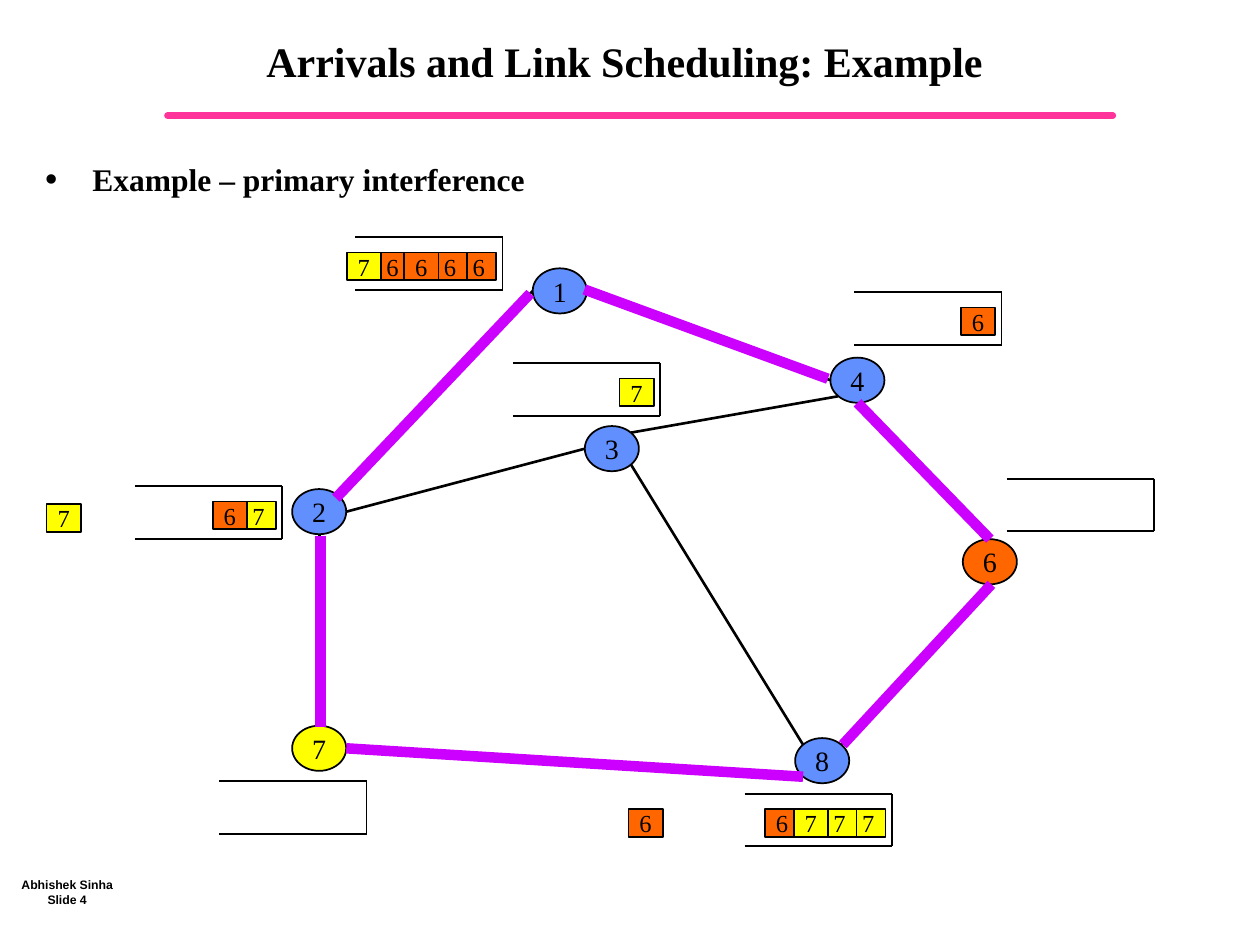
from dataclasses import dataclass

from lxml import etree
from pptx import Presentation
from pptx.dml.color import RGBColor
from pptx.enum import shapes as kinds, text as txt
from pptx.oxml import ns
from pptx.util import Cm, Pt


@dataclass(frozen=True)
class Theme:
    ink: str = "000000"
    blue: str = "618FFD"
    orange: str = "FF6600"
    yellow: str = "FFFF00"
    violet: str = "CC00FF"
    pink: str = "FF3399"
    serif: str = "Times New Roman"
    sans: str = "Arial"
    title: int = 24
    body: int = 18
    node: int = 16
    packet: int = 14
    foot: int = 7


THEME = Theme()
HUES = {"6": THEME.orange, "7": THEME.yellow}  # packets match their target node

# All places are in centimetres.
NODE = (1.09, 0.91)
NODES = {
    "1": (10.74, 5.41), "2": (5.89, 9.86), "3": (11.79, 8.59), "4": (16.74, 7.21),
    "6": (19.41, 10.87), "7": (5.89, 14.63), "8": (16.03, 14.88),
}
SIDES = {
    "n": (0, -1), "s": (0, 1), "w": (-1, 0), "e": (1, 0),
    "nw": (-0.71, -0.71), "ne": (0.71, -0.71),
    "sw": (-0.71, 0.71), "se": (0.71, 0.71),
}
# Each link: node, side, node, side
LINKS = [
    ("1", "e", "4", "w"), ("8", "nw", "3", "se"), ("7", "n", "2", "s"),
    ("3", "w", "2", "e"), ("1", "w", "2", "ne"), ("3", "ne", "4", "sw"),
    ("4", "s", "6", "n"), ("6", "s", "8", "ne"), ("8", "sw", "7", "e"),
]
# Scheduled links, with the shift of the bold stroke
ACTIVE = {
    ("1", "w", "2", "ne"): (-0.05, 0.05),
    ("8", "sw", "7", "e"): (0, 0),
    ("4", "s", "6", "n"): (0, 0),
    ("7", "n", "2", "s"): (0.03, 0.03),
    ("6", "s", "8", "ne"): (0.03, 0),
    ("1", "e", "4", "w"): (-0.05, -0.03),
}
QUEUE = (2.97, 1.06)
# Each queue: left, top, packets from the right end
QUEUES = [
    (7.16, 4.78, "66667"), (17.22, 5.89, "6"), (20.29, 9.65, ""),
    (15.01, 16.0, "7776"), (2.72, 9.8, "76"), (4.42, 15.75, ""),
    (10.34, 7.32, "7"),
]
PACKET = (0.69, 0.56)
STEP = 0.58
STACK = (0, 1, 3, 2, 4)  # slots from back to front
ARRIVALS = [("7", 0.94, 10.16), ("6", 12.67, 16.31)]


def put(obj, vals):
    for key, val in vals.items():
        setattr(obj, key, val)


def paint(target, hue):
    target.solid()
    target.fore_color.rgb = RGBColor.from_string(hue)


def write(frame, lines, size, face, bold=False, align=txt.PP_ALIGN.CENTER, **opts):
    put(frame, {"auto_size": txt.MSO_AUTO_SIZE.NONE, "word_wrap": False,
                "vertical_anchor": txt.MSO_ANCHOR.MIDDLE, **opts})
    for num, line in enumerate(lines):
        para = frame.add_paragraph() if num else frame.paragraphs[0]
        put(para, {"alignment": align, "space_before": Pt(0)})
        run = para.add_run()
        run.text = line
        put(run.font, {"size": Pt(size), "name": face, "bold": bold})
        paint(run.font.fill, THEME.ink)


def place(shape, left, top, width, height):
    put(shape, {"left": Cm(left), "top": Cm(top),
                "width": Cm(width), "height": Cm(height)})


def stroke(slide, start, end, hue=THEME.ink, width=1.0):
    line = slide.shapes.add_connector(
        kinds.MSO_CONNECTOR.STRAIGHT, *(Cm(v) for v in (*start, *end)))
    paint(line.line.fill, hue)
    line.line.width = Pt(width)
    etree.SubElement(line._element.spPr, ns.qn("a:effectLst"))
    return line


def label(slide, kind, mark, spot, dims, hue, size):
    """Add an outlined shape with a centred mark."""
    shape = slide.shapes.add_shape(kind, *(Cm(v) for v in (*spot, *dims)))
    shape.shadow.inherit = False
    paint(shape.fill, hue)
    paint(shape.line.fill, THEME.ink)
    shape.line.width = Pt(1)
    write(shape.text_frame, [mark], size, THEME.serif,
          margin_left=0, margin_right=0, margin_top=0, margin_bottom=0)


def node(slide, mark, spot):
    label(slide, kinds.MSO_SHAPE.OVAL, mark, spot, NODE,
          HUES.get(mark, THEME.blue), THEME.node)


def packet(slide, mark, left, top):
    label(slide, kinds.MSO_SHAPE.RECTANGLE, mark, (left, top), PACKET,
          HUES[mark], THEME.packet)


def queue(slide, left, top, marks):
    """Draw a queue that is open on the left, with its packets."""
    right, base = left + QUEUE[0], top + QUEUE[1]
    for slot in STACK:
        if slot < len(marks):
            packet(slide, marks[slot], left + 2.15 - slot * STEP, top + 0.31)
    stroke(slide, (left, top), (right, top))
    stroke(slide, (left, base), (right, base))
    stroke(slide, (right, top), (right, base))


def port(mark, side, shift):
    """Return the point on a node's rim at a compass side."""
    return tuple(at + dim / 2 * (1 + way) + move for at, dim, way, move
                 in zip(NODES[mark], NODE, SIDES[side], shift))


def link(slide, ends, hue, width, shift=(0, 0)):
    stroke(slide, port(*ends[:2], shift), port(*ends[2:], shift), hue, width)


def bullet(para):
    props = para._p.get_or_add_pPr()
    props.set("marL", str(Cm(0.97)))
    props.set("indent", str(-Cm(0.97)))
    for tag, key, val in (("buSzPct", "val", "125000"),
                          ("buFont", "typeface", THEME.serif),
                          ("buChar", "char", "•")):
        etree.SubElement(props, ns.qn("a:" + tag)).set(key, val)


def heads(slide):
    """Fill the title, the list and the footer, and rule off the title."""
    rule = stroke(slide, (3.38, 2.33), (22.43, 2.33), THEME.pink, 4)
    rule.line._ln.set("cap", "rnd")

    foot = slide.shapes.add_textbox(Cm(0.43), Cm(17.35), Cm(1.85), Cm(1.27))
    write(foot.text_frame, ["Abhishek Sinha", "Slide 4"],
          THEME.foot, THEME.sans, True)

    title, body = slide.placeholders
    place(title, 2.97, 0.15, 19.69, 2.11)
    write(title.text_frame, ["Arrivals and Link Scheduling: Example"],
          THEME.title, THEME.serif, True, word_wrap=True, margin_right=Cm(0.7))
    title.text_frame.paragraphs[0].line_spacing = Pt(30)

    place(body, 0.64, 3.18, 11.58, 1.47)
    write(body.text_frame, ["Example – primary interference"],
          THEME.body, THEME.serif, True, txt.PP_ALIGN.LEFT,
          word_wrap=True, vertical_anchor=txt.MSO_ANCHOR.TOP)
    para = body.text_frame.paragraphs[0]
    para.line_spacing = 0.9
    bullet(para)


def main():
    deck = Presentation()
    put(deck, {"slide_width": Cm(25.4), "slide_height": Cm(19.05)})
    slide = deck.slides.add_slide(deck.slide_layouts[1])
    heads(slide)
    for ends in LINKS:
        link(slide, ends, THEME.ink, 1.5)
    for mark, spot in NODES.items():
        node(slide, mark, spot)
    for row in QUEUES:
        queue(slide, *row)
    for row in ARRIVALS:
        packet(slide, *row)
    for ends, shift in ACTIVE.items():
        link(slide, ends, THEME.violet, 6, shift)
    deck.save("out.pptx")


if __name__ == "__main__":
    main()
